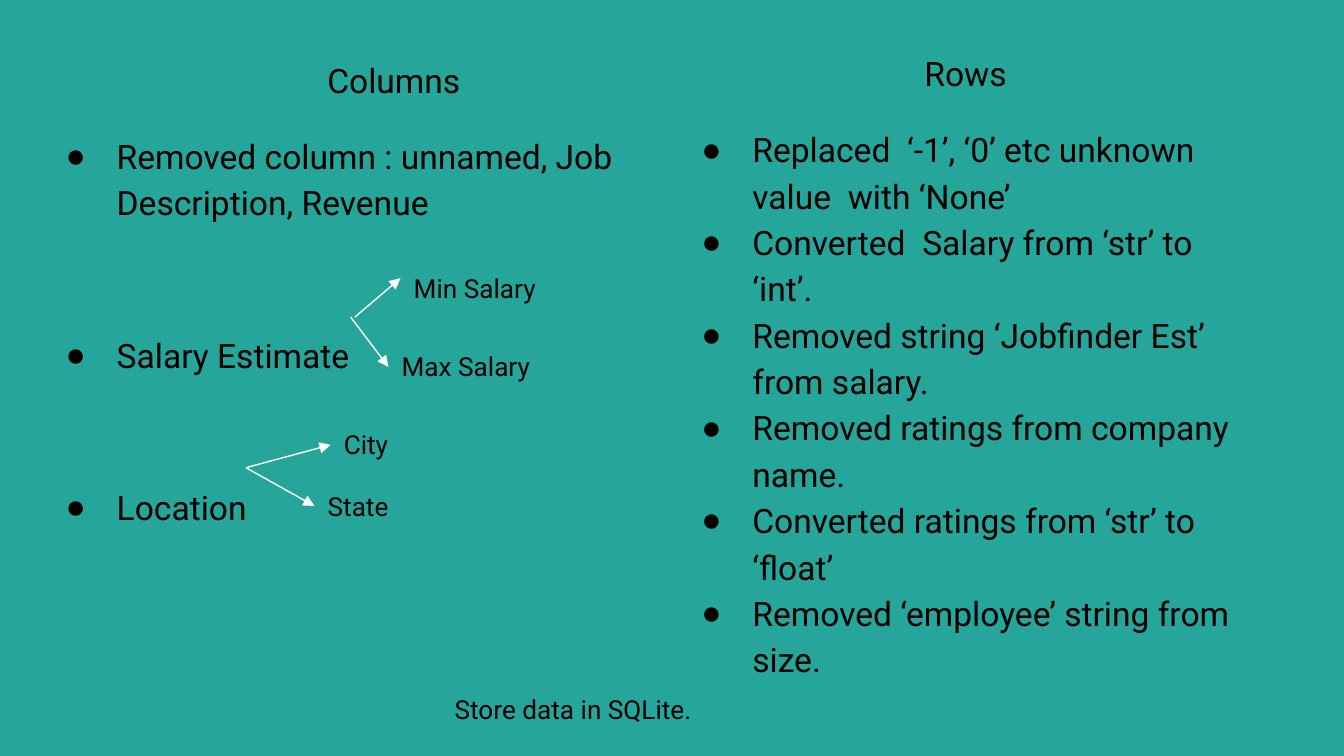
from dataclasses import dataclass

from lxml import etree
from pptx import Presentation
from pptx.dml.color import RGBColor
from pptx.enum.shapes import MSO_CONNECTOR
from pptx.enum.text import MSO_ANCHOR, PP_ALIGN
from pptx.oxml.ns import qn
from pptx.util import Inches, Pt

TEAL = RGBColor(0x26, 0xA6, 0x9A)
BLACK = RGBColor(0x00, 0x00, 0x00)
WHITE = RGBColor(0xFF, 0xFF, 0xFF)

FONT = "Roboto"
BULLET_FONT = "Arial"
BODY_SIZE = 18
LABEL_SIZE = 14
LINE_SPACING = 1.15
GAP = 16  # points before a spaced paragraph
WIDE_GAP = 56.8  # points: leaves room for the branch labels

CENTER = PP_ALIGN.CENTER
LEFT = PP_ALIGN.LEFT
TOP = MSO_ANCHOR.TOP
STRAIGHT = MSO_CONNECTOR.STRAIGHT
LEFT_SIDE = 1


@dataclass
class Bullet:
    text: str
    space_before: float = 0


@dataclass
class Panel:
    heading: str
    frame: tuple[float, float, float, float]
    heading_indent: float
    bullets: list[Bullet]


@dataclass
class Branch:
    label: str
    frame: tuple[float, float, float, float]
    start: tuple[float, float]
    end: tuple[float, float]
    joined: bool = False


PANELS = [
    Panel("Columns", (0.27, 0.3, 4.82, 4.66), 0.5, [
        Bullet("Removed column : unnamed, Job Description, Revenue", GAP),
        Bullet("Salary Estimate", WIDE_GAP),
        Bullet("Location", WIDE_GAP),
    ]),
    Panel("Rows", (5, 0.25, 4.37, 4.75), 0, [
        Bullet("Replaced  ‘-1’, ‘0’ etc unknown value  with ‘None’", GAP),
        Bullet("Converted  Salary from ‘str’ to ‘int’."),
        Bullet("Removed string ‘Jobfinder Est’ from salary."),
        Bullet("Removed ratings from company name."),
        Bullet("Converted ratings from ‘str’ to ‘float’"),
        Bullet("Removed ‘employee’ string from size."),
    ]),
]

BRANCHES = [
    Branch("Min Salary", (2.98, 1.93, 1.34, 0.35), (2.64, 2.36), (2.98, 2.07)),
    Branch("Max Salary", (2.89, 2.51, 1.34, 0.35), (2.61, 2.36), (2.89, 2.73)),
    Branch("City", (2.46, 3.09, 0.92, 0.37), (1.83, 3.48), (2.46, 3.31)),
    Branch("State", (2.34, 3.55, 1.16, 0.43), (1.83, 3.48), (2.34, 3.77), joined=True),
]


def add_box(page, frame: tuple[float, float, float, float]):
    box = page.shapes.add_textbox(*(Inches(value) for value in frame))
    text_frame = box.text_frame
    text_frame.word_wrap = True
    text_frame.vertical_anchor = TOP
    text_frame.margin_left = text_frame.margin_right = Inches(0.1)
    text_frame.margin_top = text_frame.margin_bottom = Inches(0.1)
    return box


def add_span(para, text: str, size: float) -> None:
    span = para.add_run()
    span.text = text
    span.font.name = FONT
    span.font.size = Pt(size)
    span.font.color.rgb = BLACK


def set_indent(para, left: float, first: float) -> None:
    properties = para._p.get_or_add_pPr()
    properties.set("marL", str(Inches(left)))
    properties.set("indent", str(Inches(first)))


def set_bullet(para) -> None:
    properties = para._p.get_or_add_pPr()
    color = etree.SubElement(properties, qn("a:buClr"))
    etree.SubElement(color, qn("a:srgbClr"), val=str(BLACK))
    etree.SubElement(properties, qn("a:buFont"), typeface=BULLET_FONT)
    etree.SubElement(properties, qn("a:buChar"), char="●")


def add_panel(page, panel: Panel) -> None:
    text_frame = add_box(page, panel.frame).text_frame
    heading = text_frame.paragraphs[0]
    heading.alignment = CENTER
    heading.line_spacing = LINE_SPACING
    set_indent(heading, panel.heading_indent, 0)
    add_span(heading, panel.heading, BODY_SIZE)
    for bullet in panel.bullets:
        para = text_frame.add_paragraph()
        para.line_spacing = LINE_SPACING
        para.space_before = Pt(bullet.space_before)
        set_indent(para, 0.5, -0.38)
        set_bullet(para)
        add_span(para, bullet.text, BODY_SIZE)


def add_label(page, text: str, frame: tuple[float, float, float, float], alignment=LEFT):
    box = add_box(page, frame)
    para = box.text_frame.paragraphs[0]
    para.alignment = alignment
    add_span(para, text, LABEL_SIZE)
    return box


def add_branch(page, branch: Branch) -> None:
    box = add_label(page, branch.label, branch.frame)
    ends = (Inches(value) for value in branch.start + branch.end)
    arrow = page.shapes.add_connector(STRAIGHT, *ends)
    if branch.joined:
        arrow.end_connect(box, LEFT_SIDE)
    arrow.line.color.rgb = WHITE
    arrow.line.width = Pt(0.75)
    etree.SubElement(arrow.line._get_or_add_ln(), qn("a:tailEnd"), type="triangle")
    etree.SubElement(arrow._element.spPr, qn("a:effectLst"))


def main() -> None:
    # Widescreen page, 16 to 9
    deck = Presentation()
    deck.slide_width = Inches(10)
    deck.slide_height = deck.slide_width * 9 // 16
    page = deck.slides.add_slide(deck.slide_layouts[6])
    page.background.fill.solid()
    page.background.fill.fore_color.rgb = TEAL

    # Cleaning steps for columns and rows
    for panel in PANELS:
        add_panel(page, panel)

    # Columns split into two new ones
    for branch in BRANCHES:
        add_branch(page, branch)

    # Closing step
    add_label(page, "Store data in SQLite.", (0.43, 5.06, 7.67, 0.43), CENTER)

    deck.save("out.pptx")


if __name__ == "__main__":
    main()
